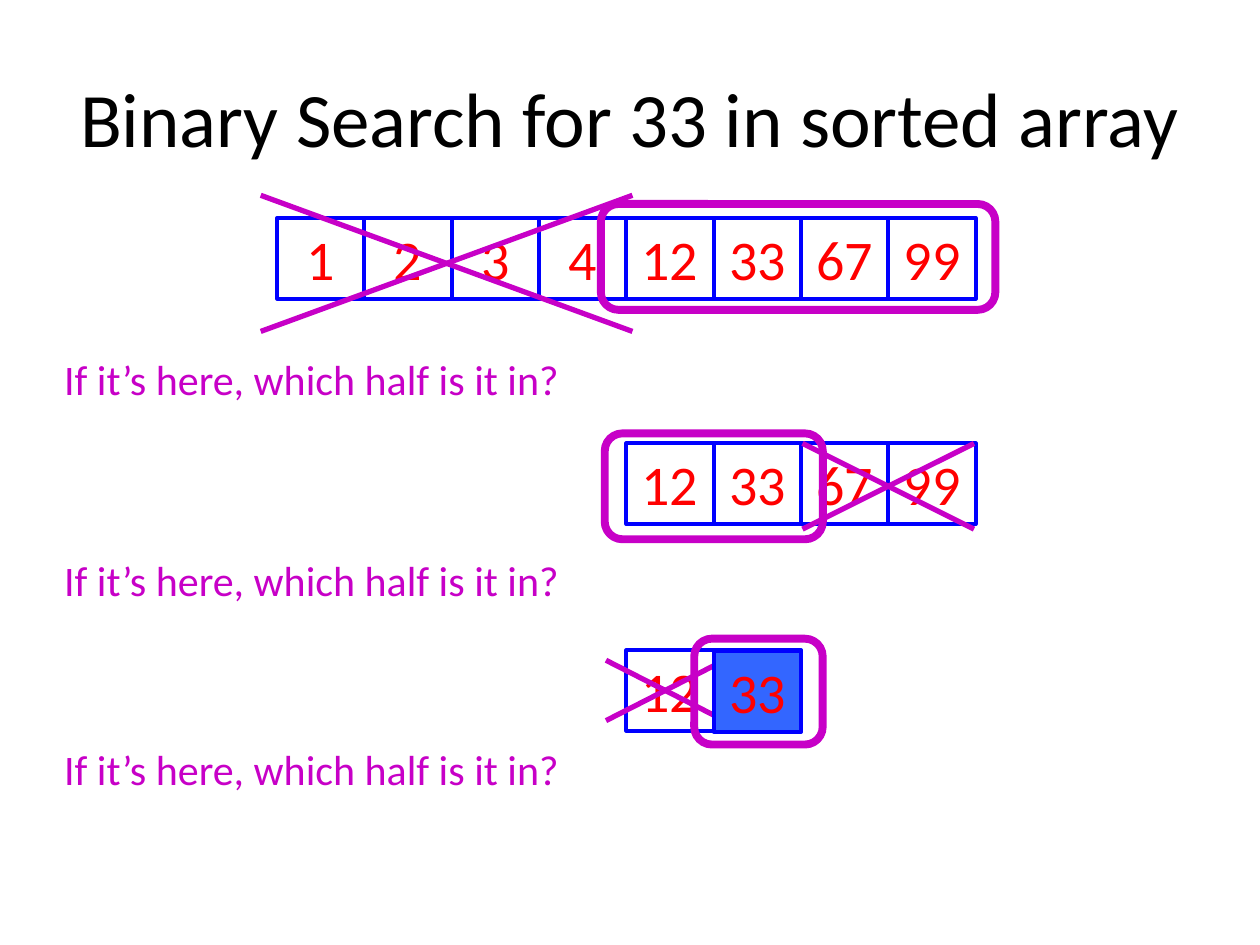
from lxml.etree import SubElement
from pptx import Presentation
from pptx.dml.color import RGBColor
from pptx.enum.shapes import MSO_CONNECTOR, MSO_SHAPE
from pptx.enum.text import MSO_ANCHOR, PP_ALIGN
from pptx.oxml.ns import qn
from pptx.util import Pt

BLACK = RGBColor(0x00, 0x00, 0x00)
RED = RGBColor(0xFF, 0x00, 0x00)
BLUE = RGBColor(0x00, 0x00, 0xFF)
FOUND_BLUE = RGBColor(0x33, 0x66, 0xFF)
PURPLE = RGBColor(0xC7, 0x00, 0xC7)

CELL_WIDTH, CELL_HEIGHT = 49.9, 46.1
ARRAY_LEFT = 158.4
VALUES = [1, 2, 3, 4, 12, 33, 67, 99]
QUESTION = "If it’s here, which half is it in?"

TITLE = {"size": Pt(44), "name": "Calibri"}
NUMBER = {"size": Pt(32), "name": "Calibri"}
NOTE = {"size": Pt(24), "name": "Calibri"}

STEPS = [
    {"top": 124.6, "first": 0, "last": 8, "note_top": 198.7,
     "cross": (149, 111.6, 361.4, 189.4), "keep": (343.4, 116.6, 225.4, 60.5)},
    {"top": 253.4, "first": 4, "last": 8, "note_top": 313.2,
     "cross": (458.6, 253.4, 556.6, 302.4), "keep": (345.6, 247.7, 124.6, 60.5)},
    {"top": 371.5, "first": 4, "last": 6, "note_top": 421.2,
     "cross": (346.3, 377.3, 414, 411.8), "keep": (396.7, 365, 73.4, 60.5)},
]

deck = Presentation()
deck.slide_width, deck.slide_height = Pt(720), Pt(540)
page = deck.slides.add_slide(deck.slide_layouts[6])


def write_text(shape, words, style, colour, align, anchor, wrap=True):
    frame = shape.text_frame
    frame.word_wrap = wrap
    frame.vertical_anchor = anchor
    para = frame.paragraphs[0]
    para.alignment = align
    span = para.add_run()
    span.text = words
    for name, value in style.items():
        setattr(span.font, name, value)
    span.font.color.rgb = colour


def add_cell(index, top, fill=None):
    left = ARRAY_LEFT + index * CELL_WIDTH
    cell = page.shapes.add_shape(
        MSO_SHAPE.RECTANGLE, Pt(left), Pt(top), Pt(CELL_WIDTH), Pt(CELL_HEIGHT))
    cell.shadow.inherit = False
    if fill is None:
        cell.fill.background()
    else:
        cell.fill.solid()
        cell.fill.fore_color.rgb = fill
    cell.line.color.rgb = BLUE
    cell.line.width = Pt(2.25)
    write_text(cell, str(VALUES[index]), NUMBER, RED, PP_ALIGN.CENTER, MSO_ANCHOR.TOP)


title = page.shapes.add_textbox(Pt(36), Pt(21.6), Pt(648), Pt(90))
write_text(title, "Binary Search for 33 in sorted array", TITLE, BLACK,
           PP_ALIGN.CENTER, MSO_ANCHOR.MIDDLE)

for step in STEPS:
    for index in range(step["first"], step["last"]):
        add_cell(index, step["top"])

    note = page.shapes.add_textbox(Pt(29.5), Pt(step["note_top"]), Pt(301), Pt(36))
    write_text(note, QUESTION, NOTE, PURPLE, PP_ALIGN.LEFT, MSO_ANCHOR.TOP, wrap=False)

    left, top, right, bottom = step["cross"]
    for start, end in [(bottom, top), (top, bottom)]:
        stroke = page.shapes.add_connector(
            MSO_CONNECTOR.STRAIGHT, Pt(right), Pt(start), Pt(left), Pt(end))
        stroke.line.color.rgb = PURPLE
        stroke.line.width = Pt(3)
        SubElement(stroke._element.spPr, qn("a:effectLst"))

    keep = page.shapes.add_shape(
        MSO_SHAPE.ROUNDED_RECTANGLE, *[Pt(length) for length in step["keep"]])
    keep.shadow.inherit = False
    keep.fill.background()
    keep.line.color.rgb = PURPLE
    keep.line.width = Pt(4.5)

add_cell(VALUES.index(33), 372.2, FOUND_BLUE)

deck.save("out.pptx")
